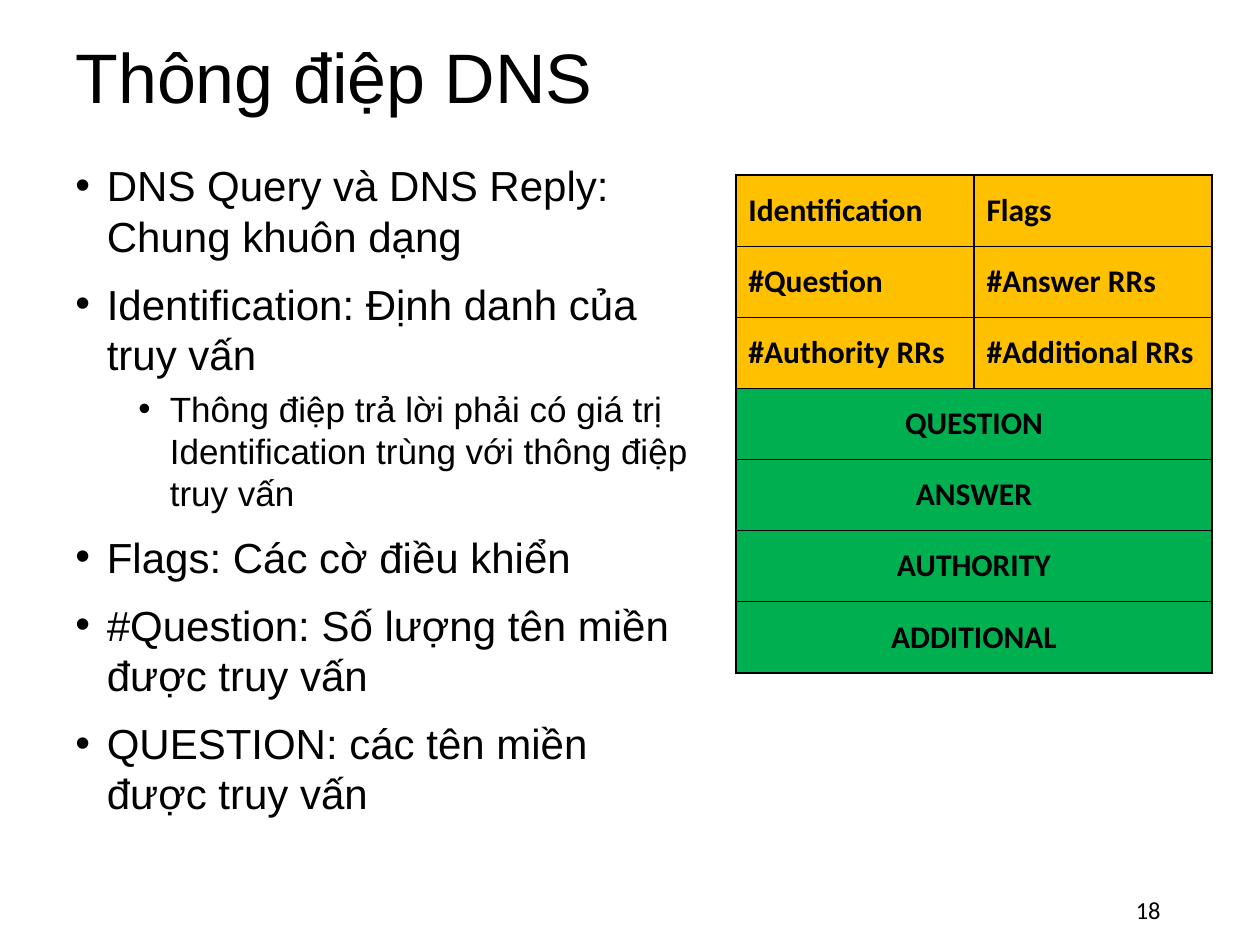
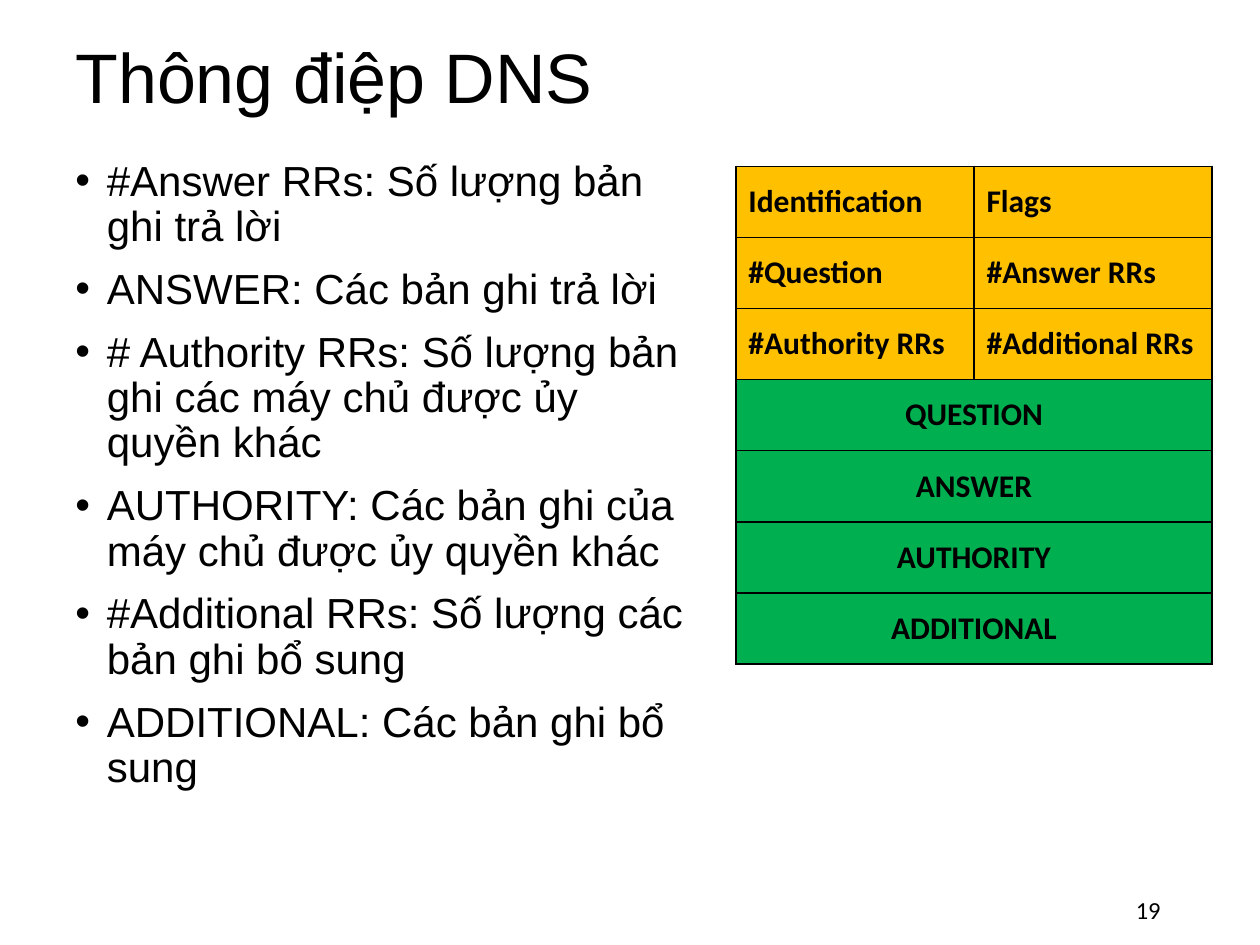
import pptx
import pptx.util
import pptx.dml.color
import pptx.enum.text
import pptx.oxml.ns
from lxml import etree

Inches = pptx.util.Inches
Pt = pptx.util.Pt
ALIGN = pptx.enum.text.PP_ALIGN
MIDDLE = pptx.enum.text.MSO_ANCHOR.MIDDLE
qn = pptx.oxml.ns.qn

BLACK, AMBER, GREEN = "000000", "FFC000", "00B050"
TITLE = {"size": Pt(40), "name": "Arial"}
BODY = [{"size": Pt(24), "name": "Arial"}, {"size": Pt(20), "name": "Arial"}]
CELL = {"size": Pt(18), "name": "Calibri", "bold": True}
NUMBER = {"size": Pt(14), "name": "Calibri"}

HEADER = [
    ("Identification", "Flags"),
    ("#Question", "#Answer RRs"),
    ("#Authority RRs", "#Additional RRs"),
]
SECTIONS = ["QUESTION", "ANSWER", "AUTHORITY", "ADDITIONAL"]

# Each point is (level, text).
QUERY = [
    (0, "DNS Query và DNS Reply: Chung khuôn dạng"),
    (0, "Identification: Định danh của truy vấn"),
    (1, "Thông điệp trả lời phải có giá trị Identification trùng với thông điệp truy vấn"),
    (0, "Flags: Các cờ điều khiển"),
    (0, "#Question: Số lượng tên miền được truy vấn"),
    (0, "QUESTION: các tên miền được truy vấn"),
]
REPLY = [
    (0, "#Answer RRs: Số lượng bản ghi trả lời"),
    (0, "ANSWER: Các bản ghi trả lời"),
    (0, "# Authority RRs: Số lượng bản ghi các máy chủ được ủy quyền khác"),
    (0, "AUTHORITY: Các bản ghi của máy chủ được ủy quyền khác"),
    (0, "#Additional RRs: Số lượng các bản ghi bổ sung"),
    (0, "ADDITIONAL: Các bản ghi bổ sung"),
]


def paint(target, color):
    """Give a font or fill a solid colour from a hex string."""
    target.solid()
    target.fore_color.rgb = pptx.dml.color.RGBColor.from_string(color)


def write(para, text, style, **layout):
    """Put one styled run in a paragraph and set the paragraph's layout."""
    run = para.add_run()
    run.text = text
    for name, value in style.items():
        setattr(run.font, name, value)
    paint(run.font.fill, BLACK)
    for name, value in layout.items():
        setattr(para, name, value)


def add_box(slide, left, top, width, height, anchor=None):
    box = slide.shapes.add_textbox(
        Inches(left), Inches(top), Inches(width), Inches(height))
    frame = box.text_frame
    frame.word_wrap = True
    if anchor is not None:
        frame.vertical_anchor = anchor
    return frame


def add_title(slide, text):
    frame = add_box(slide, 0.5, 0.13, 8.25, 1.03, MIDDLE)
    write(frame.paragraphs[0], text, TITLE, line_spacing=0.9)


def add_number(slide, number):
    frame = add_box(slide, 7.06, 7.02, 2.25, 0.4, MIDDLE)
    write(frame.paragraphs[0], str(number), NUMBER, alignment=ALIGN.RIGHT)


def set_bullet(para, level):
    props = para._p.get_or_add_pPr()
    props.set("marL", str(Inches(0.25 + 0.5 * level)))
    props.set("indent", str(Inches(-0.25)))
    etree.SubElement(props, qn("a:buFont"), typeface="Arial")
    etree.SubElement(props, qn("a:buChar"), char="•")


def add_points(slide, points, spacing):
    frame = add_box(slide, 0.5, 1.22, 5.07, 5.5)
    for i, (level, text) in enumerate(points):
        para = frame.add_paragraph() if i else frame.paragraphs[0]
        write(para, text, BODY[level], level=level, line_spacing=spacing,
              space_before=Pt(5 if level else 10))
        set_bullet(para, level)


def add_border(cell):
    """Draw a thin black line on all four sides of a cell."""
    props = cell._tc.get_or_add_tcPr()
    for i, side in enumerate(("lnL", "lnR", "lnT", "lnB")):
        line = etree.Element(qn("a:" + side), w=str(Pt(1)))
        fill = etree.SubElement(line, qn("a:solidFill"))
        etree.SubElement(fill, qn("a:srgbClr"), val=BLACK)
        props.insert(i, line)


def fill_cell(cell, text, color, align):
    cell.vertical_anchor = MIDDLE
    paint(cell.fill, color)
    add_border(cell)
    if text:
        write(cell.text_frame.paragraphs[0], text, CELL, alignment=align)


def add_format(slide, top):
    """Add the table of DNS message fields."""
    count = len(HEADER) + len(SECTIONS)
    table = slide.shapes.add_table(
        count, 2, Inches(5.84), Inches(top), Inches(3.78), Inches(3.95)).table
    for r, row in enumerate(HEADER):
        for c, text in enumerate(row):
            fill_cell(table.cell(r, c), text, AMBER, ALIGN.LEFT)
    for r, text in enumerate(SECTIONS, len(HEADER)):
        table.cell(r, 0).merge(table.cell(r, 1))
        fill_cell(table.cell(r, 0), text, GREEN, ALIGN.CENTER)
        fill_cell(table.cell(r, 1), "", GREEN, ALIGN.CENTER)


def main():
    deck = pptx.Presentation()
    deck.slide_width, deck.slide_height = Inches(10), Inches(7.5)
    pages = [(18, QUERY, 1.0, 1.39), (19, REPLY, 0.9, 1.32)]
    for number, points, spacing, top in pages:
        slide = deck.slides.add_slide(deck.slide_layouts[6])
        add_title(slide, "Thông điệp DNS")
        add_points(slide, points, spacing)
        add_format(slide, top)
        add_number(slide, number)
    deck.save("out.pptx")


if __name__ == "__main__":
    main()
